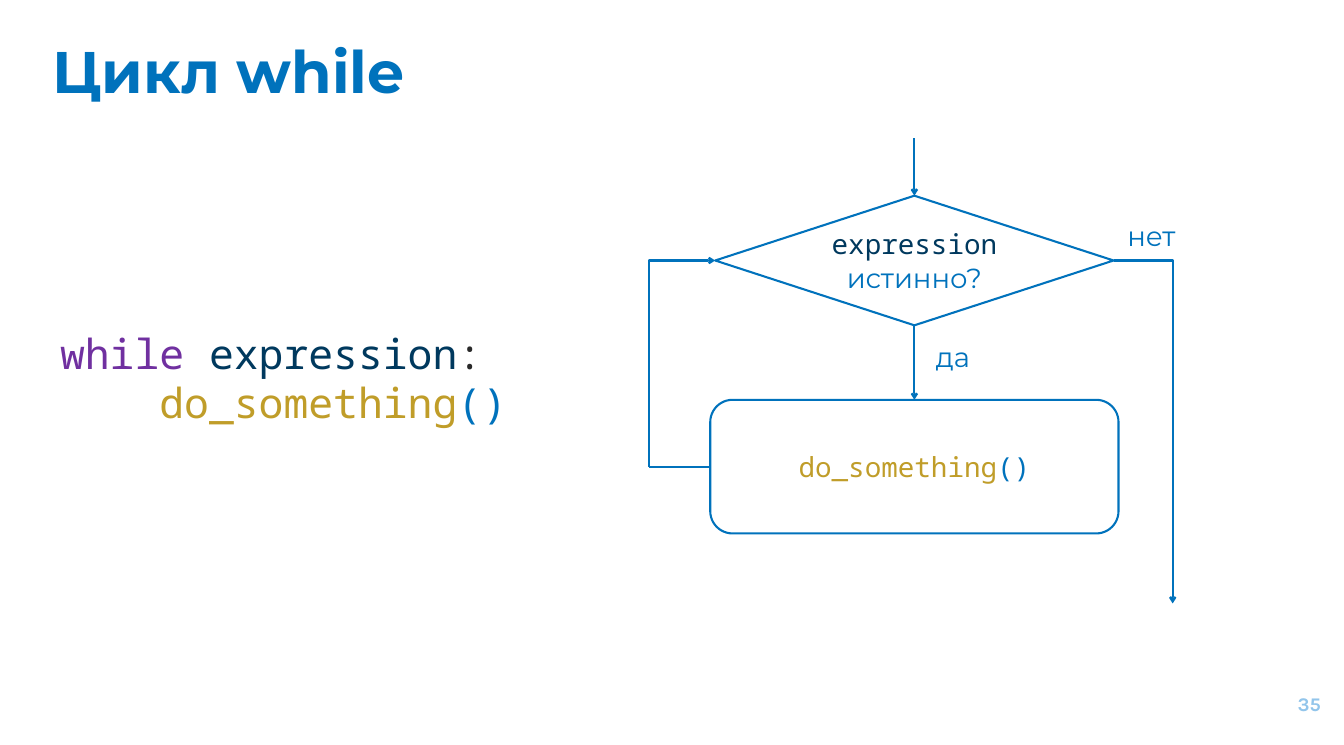
from pptx import Presentation
from pptx.dml.color import RGBColor
from pptx.enum.shapes import MSO_CONNECTOR as CONN, MSO_SHAPE as SHAPE
from pptx.enum.text import MSO_ANCHOR as ANCHOR, PP_ALIGN as ALIGN
from pptx.oxml.ns import qn
from pptx.util import Inches, Pt
from lxml.etree import SubElement

BLUE = RGBColor(0x00, 0x72, 0xBC)
NAVY = RGBColor(0x00, 0x39, 0x5E)
PURPLE = RGBColor(0x70, 0x30, 0xA0)
GOLD = RGBColor(0xC0, 0x9D, 0x29)
INK = RGBColor(0x29, 0x29, 0x29)
PALE = RGBColor(0x92, 0xC5, 0xEB)
WHITE = RGBColor(0xFF, 0xFF, 0xFF)
SANS, MONO, NUMBER = "Montserrat", "Noto Sans Mono", "Karla"
WIDTH, HEIGHT = 27.06, 15
CALL = [("do_something", GOLD, MONO), ("()", BLUE, MONO)]


def write(p, runs, size, align=ALIGN.LEFT, bold=False):
    """Fill a paragraph with (text, colour, font) runs."""
    p.alignment = align
    for text, color, font in runs:
        r = p.add_run()
        r.text = text
        r.font.size, r.font.name, r.font.bold = Pt(size), font, bold
        r.font.color.rgb = color


def text_box(slide, box, lines, size, align=ALIGN.LEFT, bold=False, anchor=ANCHOR.TOP):
    """Add a wrapping text box with one paragraph per line."""
    tf = slide.shapes.add_textbox(*map(Inches, box)).text_frame
    tf.word_wrap, tf.vertical_anchor = True, anchor
    for i, runs in enumerate(lines):
        write(tf.add_paragraph() if i else tf.paragraphs[0], runs, size, align, bold)
    return tf


def node(slide, kind, box, runs):
    """Add an outlined flowchart node with centred text."""
    s = slide.shapes.add_shape(kind, *map(Inches, box))
    s.shadow.inherit = False
    s.fill.solid()
    s.fill.fore_color.rgb = WHITE
    s.line.color.rgb, s.line.width = BLUE, Pt(3)
    s.text_frame.vertical_anchor = ANCHOR.MIDDLE
    write(s.text_frame.paragraphs[0], runs, 40, ALIGN.CENTER)


def line(slide, start, end, arrow=True, kind=CONN.STRAIGHT):
    """Add a connector, with an arrowhead at its end by default."""
    c = slide.shapes.add_connector(kind, *map(Inches, (*start, *end)))
    c.line.color.rgb, c.line.width = BLUE, Pt(3)
    if arrow:
        SubElement(c.line._get_or_add_ln(), qn("a:tailEnd")).set("type", "arrow")
    sp_pr = c._element.spPr
    SubElement(sp_pr, qn("a:effectLst"))
    return sp_pr


def corner(slide, start, end, turned=False):
    """Add a one-bend arrow going across then down, or up then across if turned."""
    (x1, y1), (x2, y2) = start, end
    if turned:
        cx, cy = (x1 + x2) / 2, (y1 + y2) / 2
        dx, dy = abs(y2 - y1) / 2, abs(x2 - x1) / 2
        start, end = (cx - dx, cy - dy), (cx + dx, cy + dy)
    sp_pr = line(slide, start, end, kind=CONN.ELBOW)
    sp_pr.find(qn("a:prstGeom")).set("prst", "bentConnector2")
    if turned:
        sp_pr.find(qn("a:xfrm")).set("rot", str(270 * 60000))


def title(slide, box, text):
    """Place and format the title placeholder."""
    s = slide.shapes.title
    s.left, s.top, s.width, s.height = map(Inches, box)
    tf = s.text_frame
    tf.word_wrap, tf.vertical_anchor = True, ANCHOR.TOP
    tf.margin_left = tf.margin_right = tf.margin_top = tf.margin_bottom = Inches(0.1)
    write(tf.paragraphs[0], [(text, BLUE, SANS)], 85, bold=True)


def code(slide, box):
    """Write the loop with its body indented by four characters."""
    head = [("while ", PURPLE, MONO), ("expression", NAVY, MONO), (":", INK, MONO)]
    tf = text_box(slide, box, [head, CALL], 60)
    tf.paragraphs[1]._p.get_or_add_pPr().set("marL", str(Pt(4 * 0.6 * 60)))


def flowchart(slide, box):
    """Draw the loop's flowchart inside the box."""
    x, y, w, h = box
    mid = x + 5.35
    test_w, test_h, body_w, body_h = 8.02, 2.61, 8.22, 2.69
    test_top, body_top = y + 1.16, y + 5.27
    test_mid, body_mid = test_top + test_h / 2, body_top + body_h / 2
    test_left, body_left = mid - test_w / 2, mid - body_w / 2
    node(slide, SHAPE.DIAMOND, (test_left, test_top, test_w, test_h),
         [("expression", NAVY, MONO), (" истинно?", BLUE, SANS)])
    node(slide, SHAPE.ROUNDED_RECTANGLE, (body_left, body_top, body_w, body_h), CALL)
    line(slide, (mid, y), (mid, test_top))
    line(slide, (mid, test_top + test_h), (mid, body_top))
    line(slide, (x, body_mid), (body_left, body_mid), arrow=False)
    corner(slide, (x, body_mid), (test_left, test_mid), turned=True)
    corner(slide, (test_left + test_w, test_mid), (x + w, y + h))
    for label, left, top, width in (("да", 5.51, 4.02, 1.23), ("нет", 9.37, 1.57, 1.5)):
        text_box(slide, (x + left, y + top, width, 0.77),
                 [[(label, BLUE, SANS)]], 40, ALIGN.CENTER)


def page_number(slide, box, number):
    """Write the page number at the lower right."""
    tf = text_box(slide, box, [[(number, PALE, NUMBER)]], 28, ALIGN.RIGHT, True, ANCHOR.MIDDLE)
    tf.margin_left = tf.margin_right = Inches(0.1)


def main():
    """Build the slide and save it."""
    prs = Presentation()
    prs.slide_width, prs.slide_height = Inches(WIDTH), Inches(HEIGHT)
    slide = prs.slides.add_slide(prs.slide_layouts[5])
    title(slide, (0.96, 0.61, 23.93, 1.92), "Цикл while")
    code(slide, (1.11, 6.55, 9.28, 2.12))
    flowchart(slide, (13.06, 2.78, 10.55, 9.37))
    page_number(slide, (25.07, 13.6, 1.62, 1.15), "35")
    prs.save("out.pptx")


if __name__ == "__main__":
    main()
